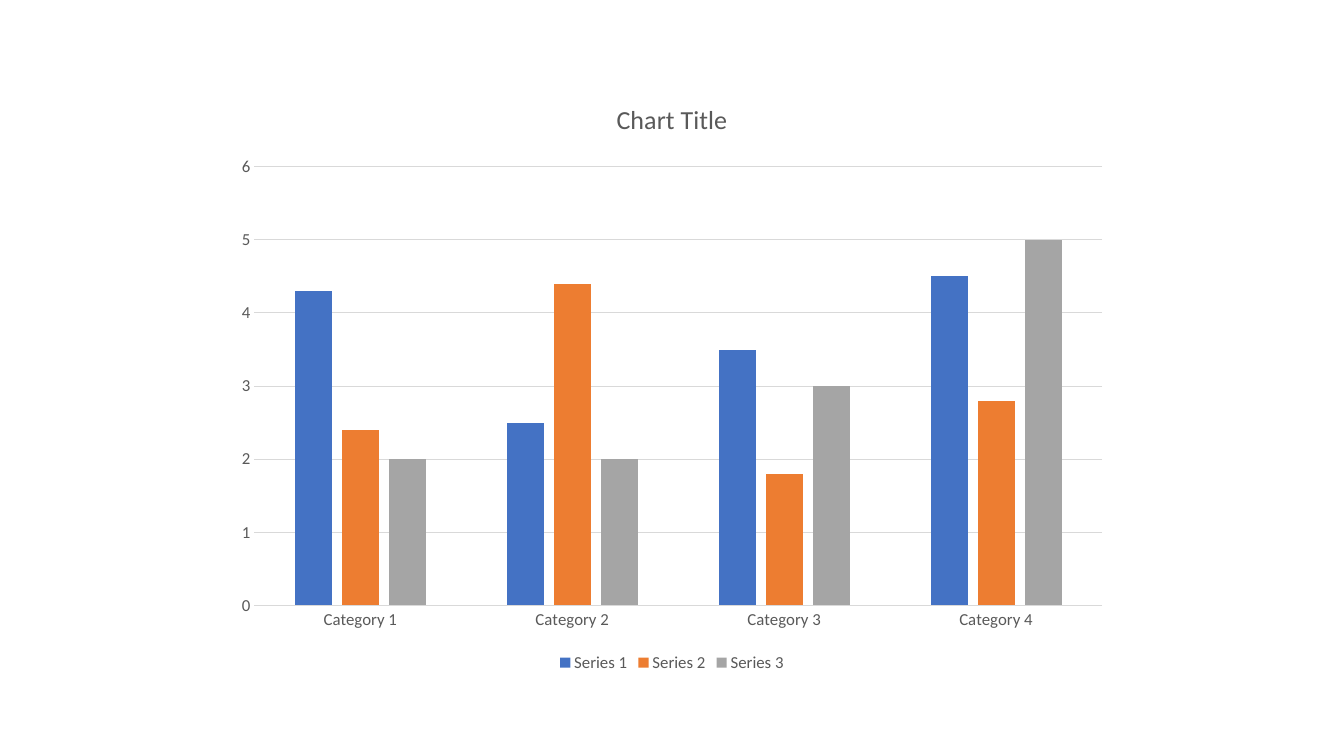
import pptx
import pptx.chart.data
import pptx.dml.color
import pptx.enum.chart
import pptx.util

COLORS = {
    "background": "FFFFFF",
    "text": "595959",
    "rule": "D9D9D9",
    "Series 1": "4472C4",
    "Series 2": "ED7D31",
    "Series 3": "A5A5A5",
}
FONT = "Calibri"
CATEGORIES = ["Category 1", "Category 2", "Category 3", "Category 4"]
SERIES = {
    "Series 1": [4.3, 2.5, 3.5, 4.5],
    "Series 2": [2.4, 4.4, 1.8, 2.8],
    "Series 3": [2, 2, 3, 5],
}


def rgb(name):
    return pptx.dml.color.RGBColor.from_string(COLORS[name])


def format_font(font, size=12, color="text", bold=False):
    font.name = FONT
    font.size = pptx.util.Pt(size)
    font.bold = bold
    font.color.rgb = rgb(color)


def add_text(tf, text, **fmt):
    p = tf.paragraphs[0]
    r = p.add_run()
    r.text = text
    format_font(r.font, **fmt)


def format_rule(line):
    line.color.rgb = rgb("rule")
    line.width = pptx.util.Pt(0.75)


def format_axes(chart):
    tick = pptx.enum.chart.XL_TICK_MARK.NONE
    for axis in (chart.category_axis, chart.value_axis):
        axis.major_tick_mark = tick
        axis.minor_tick_mark = tick
        format_font(axis.tick_labels.font)
    format_rule(chart.category_axis.format.line)
    values = chart.value_axis
    values.minimum_scale = 0
    values.maximum_scale = 6
    values.major_unit = 1
    values.has_major_gridlines = True
    format_rule(values.major_gridlines.format.line)
    values.format.line.fill.background()


def format_columns(plot):
    plot.gap_width = 219
    plot.overlap = -27
    plot.vary_by_categories = False
    for series in plot.series:
        series.invert_if_negative = False
        series.format.fill.solid()
        series.format.fill.fore_color.rgb = rgb(series.name)


def add_column_chart(s, left, top, width, height):
    data = pptx.chart.data.CategoryChartData()
    data.categories = CATEGORIES
    for name, values in SERIES.items():
        data.add_series(name, values)
    kind = pptx.enum.chart.XL_CHART_TYPE.COLUMN_CLUSTERED
    chart = s.shapes.add_chart(kind, left, top, width, height, data).chart
    format_font(chart.font)
    chart.has_title = True
    add_text(chart.chart_title.text_frame, "Chart Title", size=18.6)
    chart.chart_title.include_in_layout = False
    chart.has_legend = True
    chart.legend.position = pptx.enum.chart.XL_LEGEND_POSITION.BOTTOM
    chart.legend.include_in_layout = False
    format_font(chart.legend.font)
    format_axes(chart)
    format_columns(chart.plots[0])


def main():
    prs = pptx.Presentation()
    prs.slide_width = pptx.util.Inches(13.33)
    prs.slide_height = pptx.util.Inches(7.5)
    s = prs.slides.add_slide(prs.slide_layouts[6])
    s.background.fill.solid()
    s.background.fill.fore_color.rgb = rgb("background")
    width = prs.slide_width * 2 // 3
    height = width * 2 // 3
    left = (prs.slide_width - width) // 2
    top = (prs.slide_height - height) // 2
    add_column_chart(s, left, top, width, height)
    prs.save("out.pptx")


if __name__ == "__main__":
    main()
